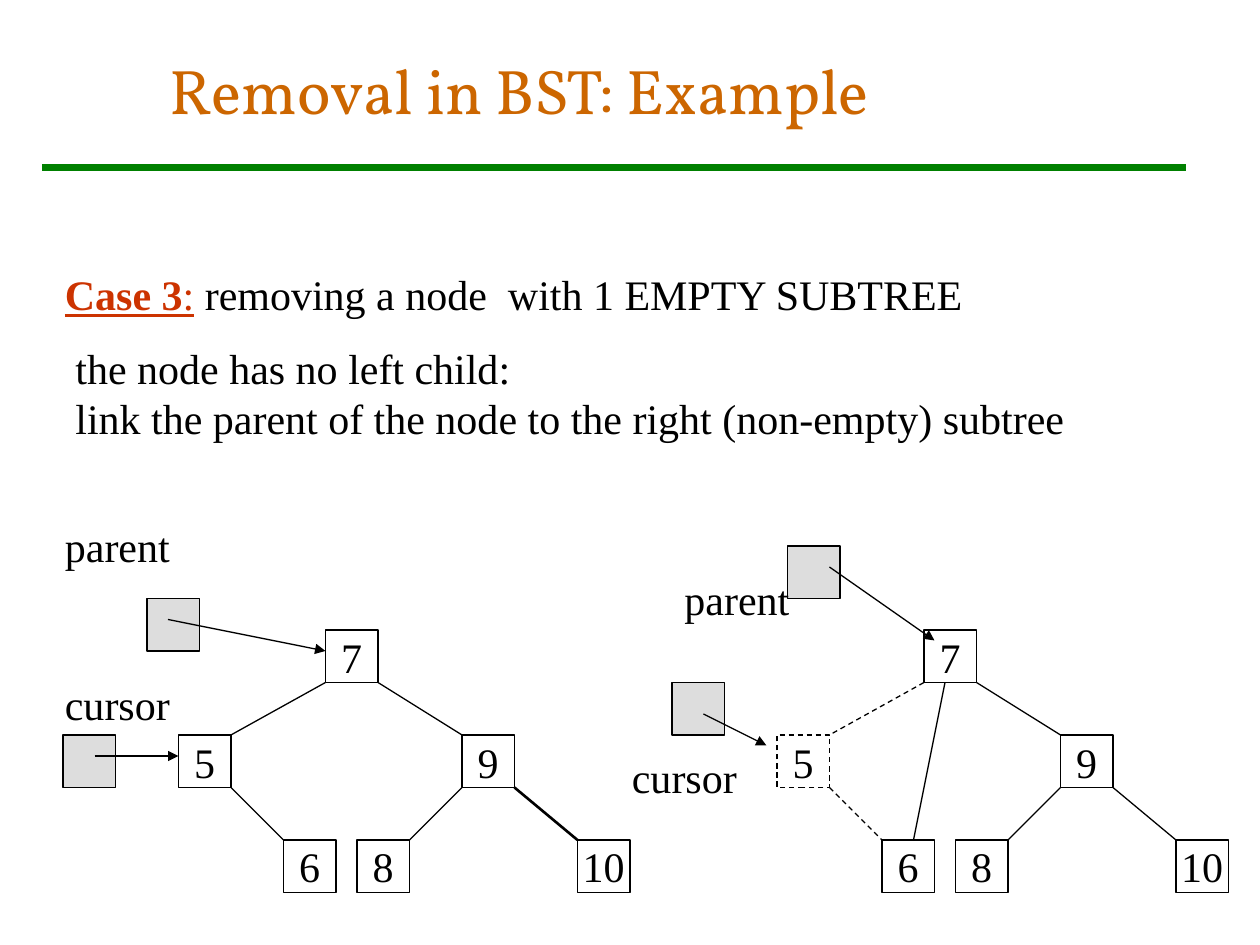
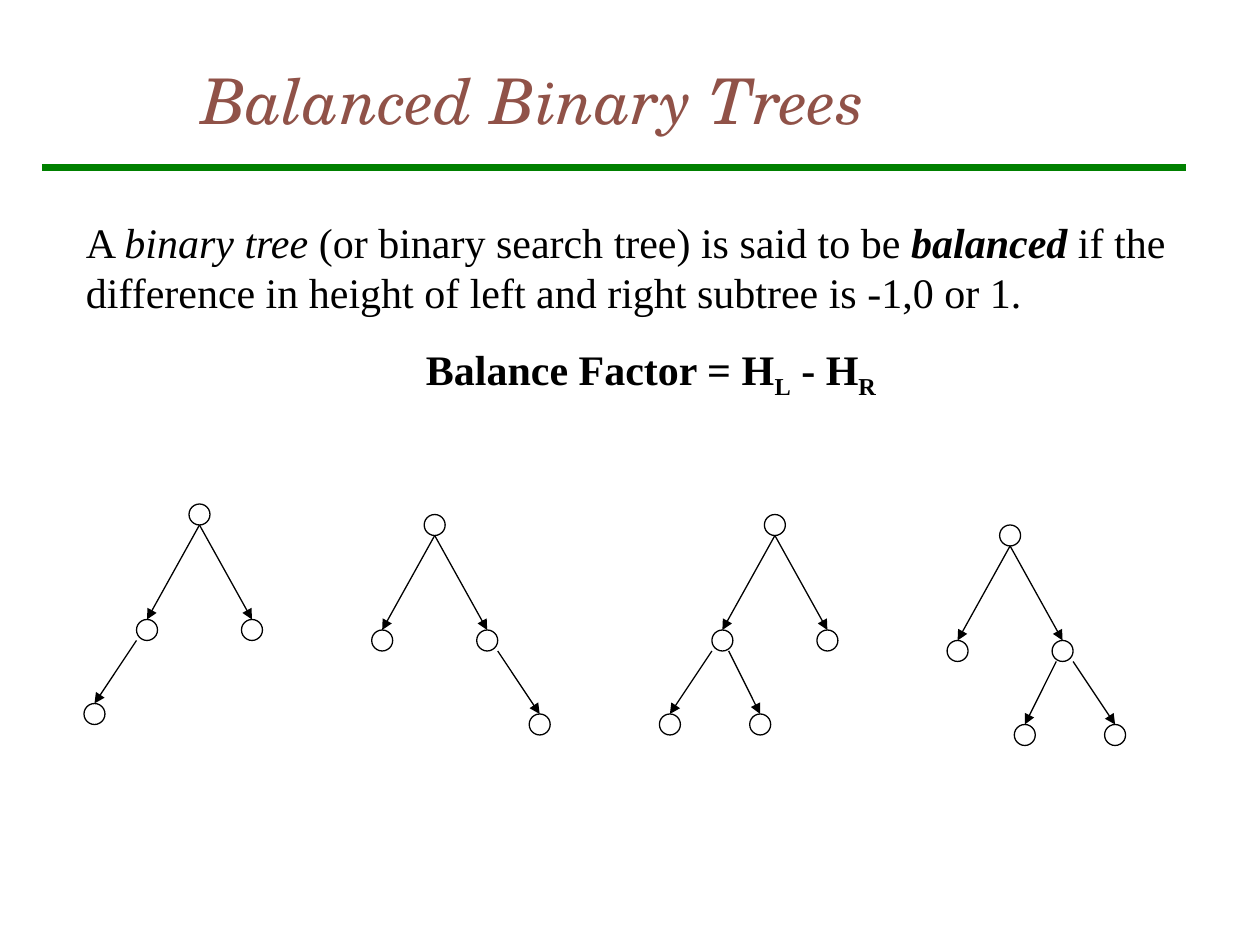
"""Build two slides on binary search trees: removal of a node, and balance."""
from lxml.etree import SubElement
from pptx import Presentation
from pptx.dml.color import RGBColor
from pptx.enum.dml import MSO_LINE
from pptx.enum.shapes import MSO_CONNECTOR, MSO_SHAPE
from pptx.enum.text import MSO_ANCHOR, MSO_AUTO_SIZE, PP_ALIGN
from pptx.oxml.ns import qn
from pptx.util import Inches, Pt

COLORS = {"ink": "000000", "rule": "008000", "pointer": "DDDDDD", "node": "FFFFFF",
          "case": "CC3300", "removal": "CC6600", "balance": "905248"}
BODY = {"name": "Times New Roman", "size": Pt(24), "color": "ink"}
CASE = {"color": "case", "underline": True}
BOLD_CASE = {**CASE, "bold": True}
BOLD, ITALIC = {"bold": True}, {"italic": True}
SUBSCRIPT = {"bold": True, "baseline": "-25000"}
LABEL = {"frame": {"word_wrap": False, "auto_size": MSO_AUTO_SIZE.SHAPE_TO_FIT_TEXT},
         "lines": {"space_before": Pt(15)}}
PLAIN = {"frame": LABEL["frame"]}
TITLE = {"frame": {"word_wrap": True, "vertical_anchor": MSO_ANCHOR.MIDDLE}}
NODE = {"frame": {"word_wrap": False, "vertical_anchor": MSO_ANCHOR.MIDDLE},
        "lines": {"alignment": PP_ALIGN.CENTER}}
DEFINITION = {"frame": {"word_wrap": True, "auto_size": MSO_AUTO_SIZE.SHAPE_TO_FIT_TEXT},
              "lines": {"space_before": Pt(15)}}

deck = Presentation()
deck.slide_width, deck.slide_height = Inches(10), Inches(7.5)
COLUMN, ROW = deck.slide_width / 120, deck.slide_height / 90


def place(slide, box, paragraphs=(), layout=PLAIN, outline=None, fill=None, dashed=False):
    """Put a text box or an outlined shape on the grid and fill in its runs."""
    left, top, width, height = box
    area = [int(n) for n in (left * COLUMN, top * ROW, width * COLUMN, height * ROW)]
    if outline is None:
        part = slide.shapes.add_textbox(*area)
    else:
        part = slide.shapes.add_shape(outline, *area)
        part.shadow.inherit = False
        part.line.color.rgb = RGBColor.from_string(COLORS["ink"])
        part.line.width = Pt(0.75)
        if dashed:
            part.line.dash_style = MSO_LINE.DASH
        if fill:
            part.fill.solid()
            part.fill.fore_color.rgb = RGBColor.from_string(COLORS[fill])
        else:
            part.fill.background()
    frame = part.text_frame
    for key, value in layout["frame"].items():
        setattr(frame, key, value)
    for index, runs in enumerate(paragraphs):
        line = frame.add_paragraph() if index else frame.paragraphs[0]
        for key, value in layout.get("lines", {}).items():
            setattr(line, key, value)
        for words, look in runs:
            run = line.add_run()
            run.text = words
            for key, value in {**BODY, **look}.items():
                if key == "color":
                    run.font.color.rgb = RGBColor.from_string(COLORS[value])
                elif key == "baseline":
                    run.font._element.set("baseline", value)
                else:
                    setattr(run.font, key, value)
    return part


def join(slide, start, end, color="ink", weight=0.75, dashed=False, arrow=False):
    """Draw a straight line between two grid points."""
    (x1, y1), (x2, y2) = start, end
    ends = [int(n) for n in (x1 * COLUMN, y1 * ROW, x2 * COLUMN, y2 * ROW)]
    link = slide.shapes.add_connector(MSO_CONNECTOR.STRAIGHT, *ends)
    link.line.color.rgb = RGBColor.from_string(COLORS[color])
    link.line.width = Pt(weight)
    if dashed:
        link.line.dash_style = MSO_LINE.DASH
    if arrow:
        SubElement(link.line._get_or_add_ln(), qn("a:tailEnd"), type="triangle")
    SubElement(link._element.spPr, qn("a:effectLst"))


slides = []
for title, left, top, look in [
    ("Removal in BST: Example", 15, 1, {"name": "Vollkorn", "color": "removal"}),
    ("Balanced Binary Trees", 18, 2,
     {"name": "TeX Gyre Schola", "color": "balance", "italic": True}),
]:
    slide = deck.slides.add_slide(deck.slide_layouts[6])
    join(slide, (4, 16), (113, 16), "rule", 4)
    place(slide, (left, top, 102, 15), [[(title, {**look, "size": Pt(36)})]], TITLE)
    slides.append(slide)
removal, balance = slides

CELL = 5
nodes = {"7": (31, 60), "5": (17, 70), "9": (44, 70),
         "6": (27, 80), "8": (34, 80), "10": (55, 80)}
branches = [("7", "5"), ("7", "9"), ("5", "6"), ("9", "8"), ("9", "10")]
for shift, removed in [(0, None), (57, "5")]:
    for parent, child in branches:
        (px, py), (cx, cy) = nodes[parent], nodes[child]
        goes_left = cx < px
        start = (px + shift + (0 if goes_left else CELL), py + CELL)
        end = (cx + shift + (CELL if goes_left else 0), cy)
        heavy = child == "10" and not removed
        join(removal, start, end, weight=1.5 if heavy else 0.75,
             dashed=removed in (parent, child))
    for key, (x, y) in nodes.items():
        place(removal, (x + shift, y, CELL, CELL), [[(key, {})]], NODE,
              MSO_SHAPE.RECTANGLE, dashed=key == removed)
join(removal, (90, 65), (87, 80))

for name, label_at, cell_at, start, end in [
    ("parent", (5, 49), (14, 57), (16, 59), (31, 62)),
    ("cursor", (5, 64), (6, 70), (9, 72), (17, 72)),
    ("parent", (64, 54), (75, 52), (79, 54), (89, 61)),
    ("cursor", (59, 71), (64, 65), (67, 68), (73, 71)),
]:
    place(removal, (*cell_at, CELL, CELL), outline=MSO_SHAPE.RECTANGLE, fill="pointer")
    place(removal, (*label_at, 12.4, 6), [[(name, {})]], LABEL)
    join(removal, start, end, arrow=True)

place(removal, (5, 25, 88, 6), [[
    ("Case", BOLD_CASE), (" ", CASE), ("3", BOLD_CASE), (":", CASE),
    (" removing a node  with 1 EMPTY SUBTREE", {})]], LABEL)
place(removal, (6, 32, 96.6, 10.8), [
    [("the node has no left child:", {})],
    [("link the parent of the node to the right (non-empty) subtree", {})]])

definition = place(balance, (7, 20, 110, 26.8), [
    [("A ", {}), ("binary tree", ITALIC),
     (" (or binary search tree) is said to be ", {}), ("balanced", {**BOLD, **ITALIC}),
     (" if the difference in height of left and right subtree is -1,0 or 1.", {})],
    [("Balance Factor = H", BOLD), ("L", SUBSCRIPT), (" - H", BOLD), ("R", SUBSCRIPT)],
], DEFINITION)
definition.text_frame.paragraphs[1].alignment = PP_ALIGN.CENTER

DOT = 2
edges = [((0, 2), (-5, 11)), ((0, 2), (5, 11)),
         ((-6, 13), (-10, 19)), ((-4.4, 13), (-1.4, 19))]
for center, top, side, count in [(19, 48, 1, 3), (41.4, 49, -1, 3),
                                 (73.8, 49, 1, 4), (96.2, 50, -1, 4)]:
    tree_edges = edges[:count]
    for x, y in [(0, 0)] + [end for _, end in tree_edges]:
        place(balance, (center + side * x - DOT / 2, top + y, DOT, DOT),
              outline=MSO_SHAPE.FLOWCHART_CONNECTOR, fill="node")
    for (x1, y1), (x2, y2) in tree_edges:
        join(balance, (center + side * x1, top + y1), (center + side * x2, top + y2),
             arrow=True)

deck.save("out.pptx")
